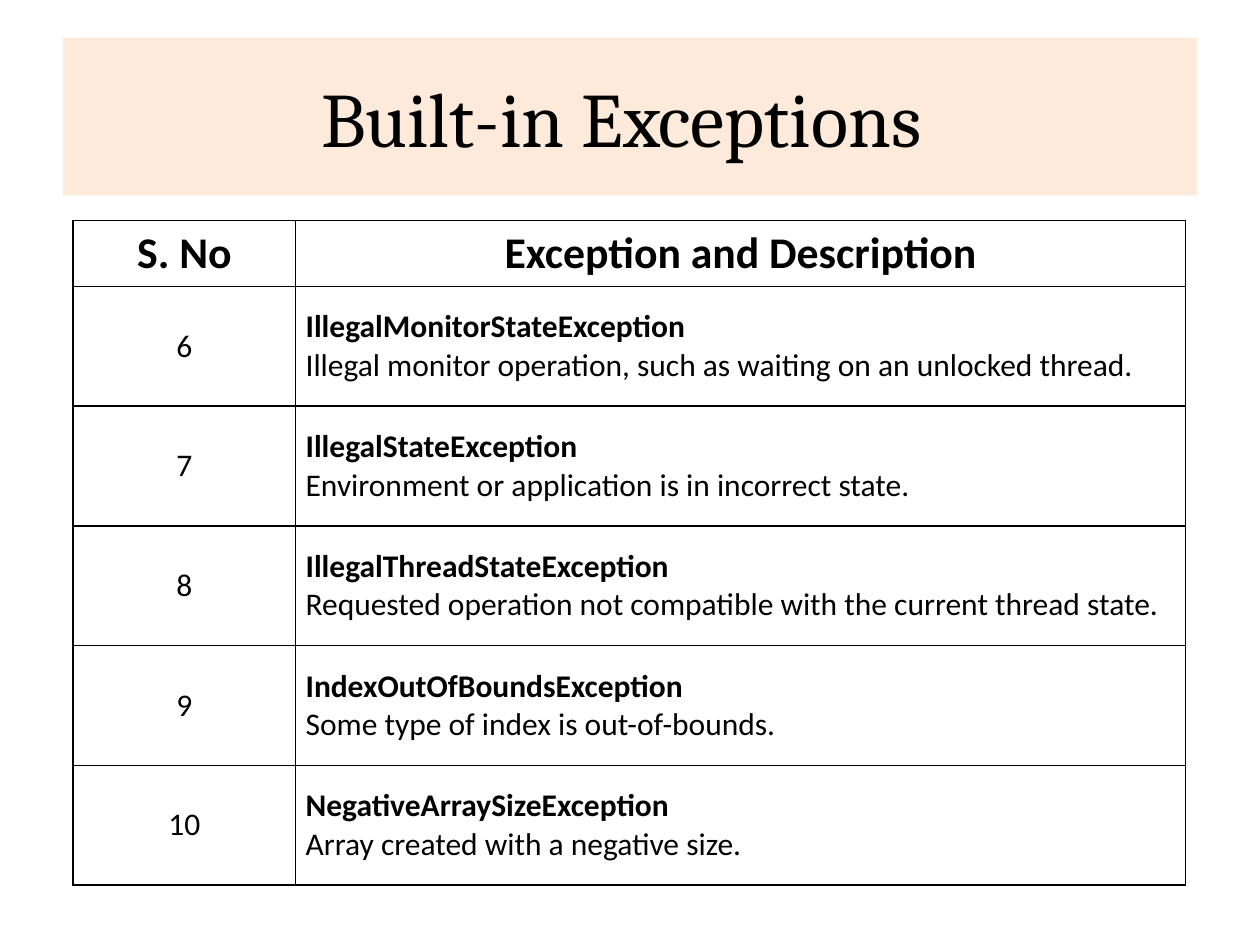
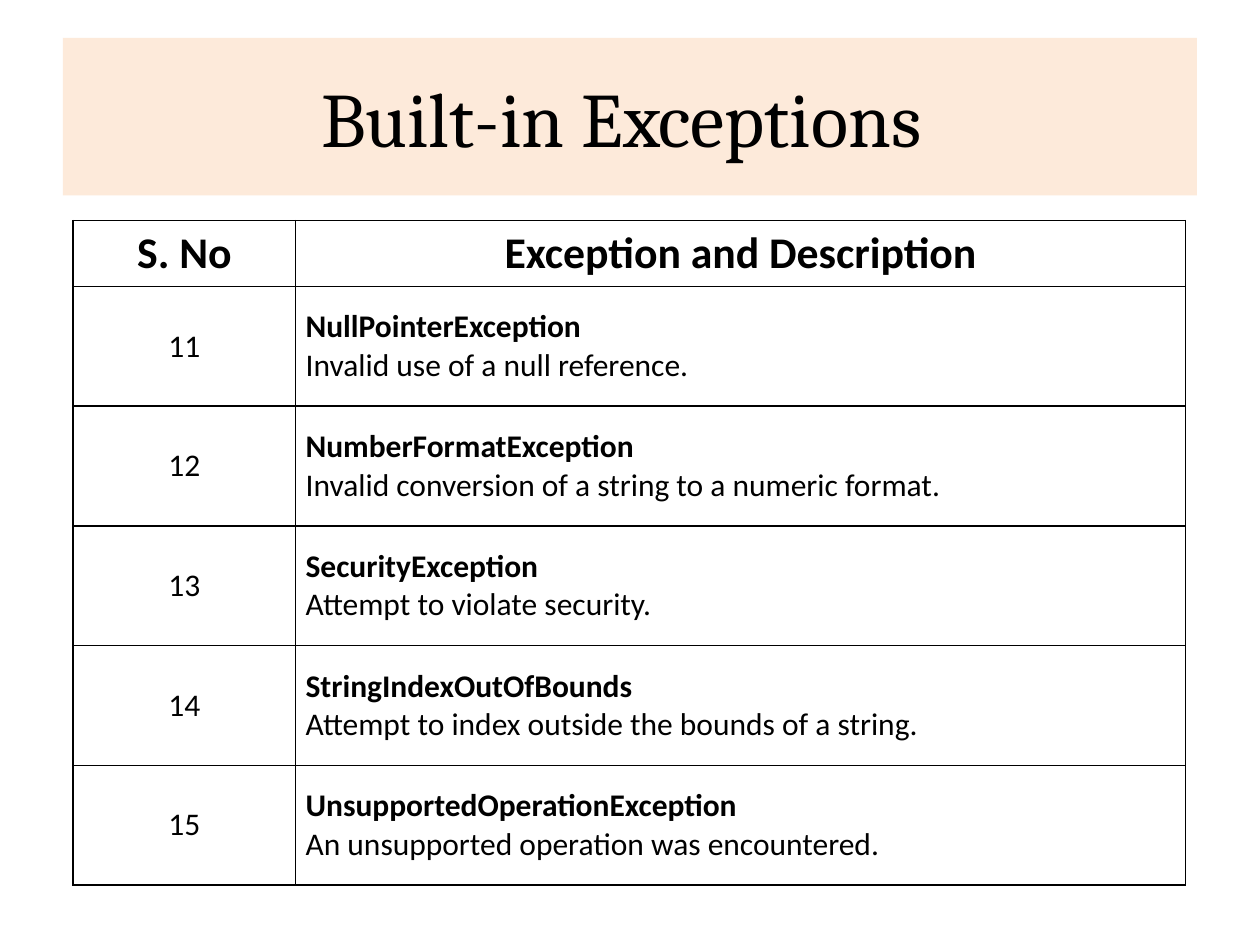
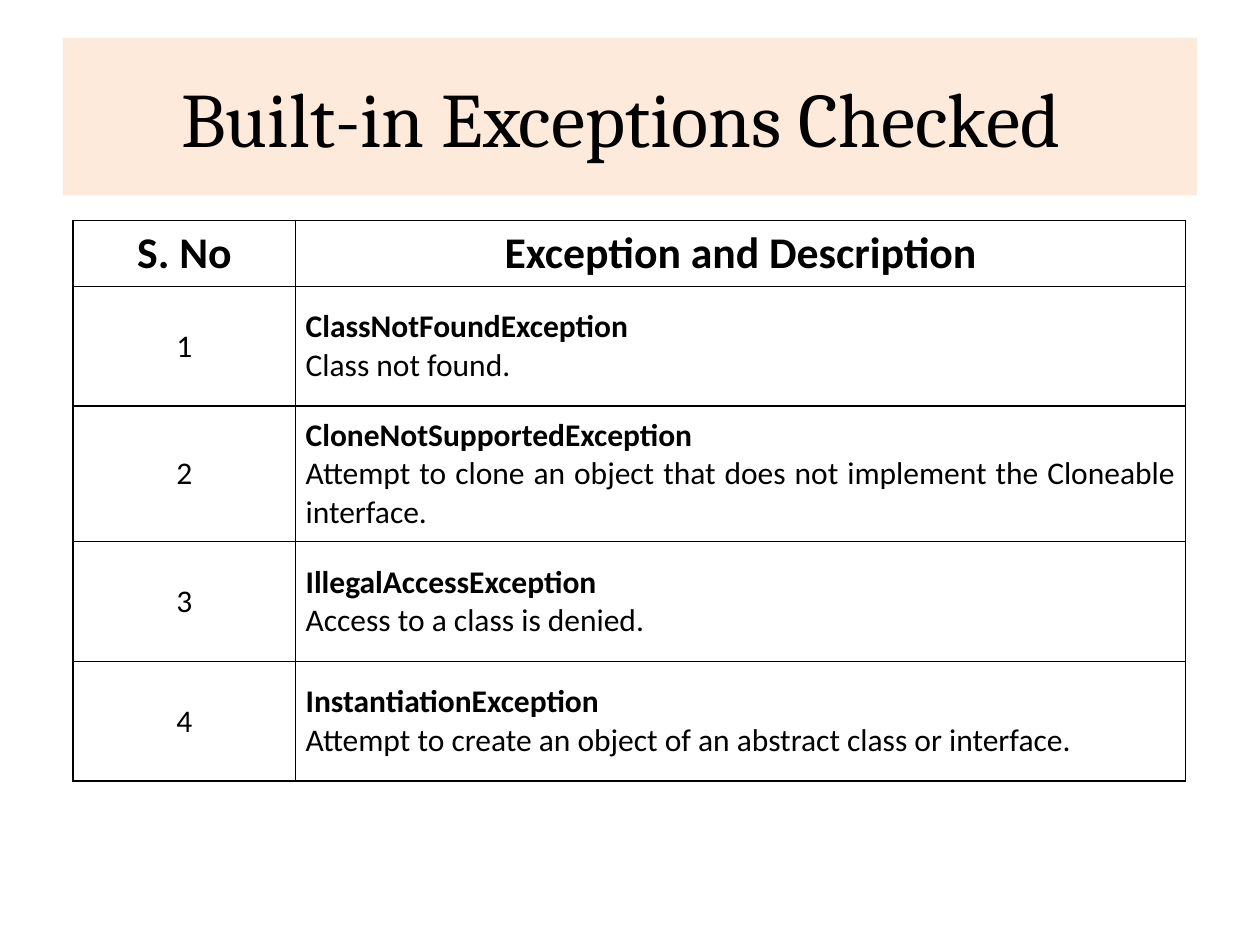
import pptx
import pptx.dml.color
import pptx.enum.shapes
import pptx.enum.text
import pptx.oxml.ns
import pptx.util
import lxml.etree

Inches = pptx.util.Inches
RGBColor = pptx.dml.color.RGBColor
ALIGN = pptx.enum.text.PP_ALIGN
MIDDLE = pptx.enum.text.MSO_ANCHOR.MIDDLE

BLACK = RGBColor(0x00, 0x00, 0x00)
PEACH = RGBColor(0xFD, 0xEA, 0xDA)
TITLE_FONT = "Cambria"
BODY_FONT = "Calibri"

TITLE_BOX = (Inches(0.5), Inches(0.3), Inches(9), Inches(1.25))
TABLE_BOX = (Inches(0.58), Inches(1.75), Inches(8.83))
NUMBER_SHARE = 0.2
HEADER_HEIGHT = Inches(0.52)
ROW_HEIGHT = Inches(0.95)
CELL_MARGIN = Inches(0.08)
HEADINGS = ("S. No", "Exception and Description")

SLIDES = [
    ("Built-in Exceptions ", 6, [
        ("IllegalMonitorStateException",
         "Illegal monitor operation, such as waiting on an unlocked thread."),
        ("IllegalStateException", "Environment or application is in incorrect state."),
        ("IllegalThreadStateException",
         "Requested operation not compatible with the current thread state."),
        ("IndexOutOfBoundsException", "Some type of index is out-of-bounds."),
        ("NegativeArraySizeException", "Array created with a negative size."),
    ]),
    ("Built-in Exceptions ", 11, [
        ("NullPointerException", "Invalid use of a null reference."),
        ("NumberFormatException", "Invalid conversion of a string to a numeric format."),
        ("SecurityException", "Attempt to violate security."),
        ("StringIndexOutOfBounds", "Attempt to index outside the bounds of a string."),
        ("UnsupportedOperationException", "An unsupported operation was encountered."),
    ]),
    ("Built-in Exceptions Checked ", 1, [
        ("ClassNotFoundException", "Class not found."),
        ("CloneNotSupportedException",
         "Attempt to clone an object that does not implement the Cloneable interface."),
        ("IllegalAccessException", "Access to a class is denied."),
        ("InstantiationException",
         "Attempt to create an object of an abstract class or interface."),
    ]),
]


def write_text(paragraph, text, size=18, font=BODY_FONT, bold=False, align=ALIGN.CENTER):
    """Write formatted text into a paragraph."""
    paragraph.alignment = align
    run = paragraph.add_run()
    run.text = text
    run.font.size = pptx.util.Pt(size)
    run.font.name = font
    run.font.bold = bold
    run.font.color.rgb = BLACK


def add_title(slide, text, box):
    """Add the title band with its text."""
    band = slide.shapes.add_shape(pptx.enum.shapes.MSO_SHAPE.RECTANGLE, *box)
    band.shadow.inherit = False
    band.fill.solid()
    band.fill.fore_color.rgb = PEACH
    band.line.fill.background()
    band.text_frame.word_wrap = True
    band.text_frame.vertical_anchor = MIDDLE
    write_text(band.text_frame.paragraphs[0], text, size=44, font=TITLE_FONT)


def format_cell(cell):
    """Give a cell black borders, no fill and middle anchoring."""
    cell.vertical_anchor = MIDDLE
    properties = cell._tc.get_or_add_tcPr()
    qualify = pptx.oxml.ns.qn
    for side in ("a:lnL", "a:lnR", "a:lnT", "a:lnB"):
        line = lxml.etree.SubElement(properties, qualify(side), w=str(pptx.util.Pt(1)))
        fill = lxml.etree.SubElement(line, qualify("a:solidFill"))
        lxml.etree.SubElement(fill, qualify("a:srgbClr"), val=str(BLACK))
    cell.fill.background()


def add_exception_table(slide, first_number, exceptions, box):
    """Add a table of numbered exceptions below a heading row."""
    left, top, width = box
    height = HEADER_HEIGHT + ROW_HEIGHT * len(exceptions)
    table = slide.shapes.add_table(len(exceptions) + 1, 2, left, top, width, height).table
    table.first_row = False
    table.horz_banding = False
    table.columns[0].width = int(width * NUMBER_SHARE)
    table.columns[1].width = width - table.columns[0].width
    table.rows[0].height = HEADER_HEIGHT
    for cell in table.iter_cells():
        format_cell(cell)
    for column, heading in enumerate(HEADINGS):
        write_text(table.cell(0, column).text_frame.paragraphs[0], heading, size=25, bold=True)
    for row, (name, description) in enumerate(exceptions, start=1):
        table.rows[row].height = ROW_HEIGHT
        number_cell, text_cell = table.cell(row, 0), table.cell(row, 1)
        for cell in (number_cell, text_cell):
            cell.margin_left = cell.margin_right = CELL_MARGIN
            cell.margin_top = cell.margin_bottom = CELL_MARGIN
        write_text(number_cell.text_frame.paragraphs[0], str(first_number + row - 1))
        frame = text_cell.text_frame
        write_text(frame.paragraphs[0], name, bold=True, align=ALIGN.JUSTIFY)
        write_text(frame.add_paragraph(), description, align=ALIGN.JUSTIFY)


def main():
    """Build and save the presentation."""
    presentation = pptx.Presentation()
    presentation.slide_width = Inches(10)
    presentation.slide_height = Inches(7.5)
    for title, first_number, exceptions in SLIDES:
        slide = presentation.slides.add_slide(presentation.slide_layouts[6])
        add_title(slide, title, TITLE_BOX)
        add_exception_table(slide, first_number, exceptions, TABLE_BOX)
    presentation.save("out.pptx")


main()
